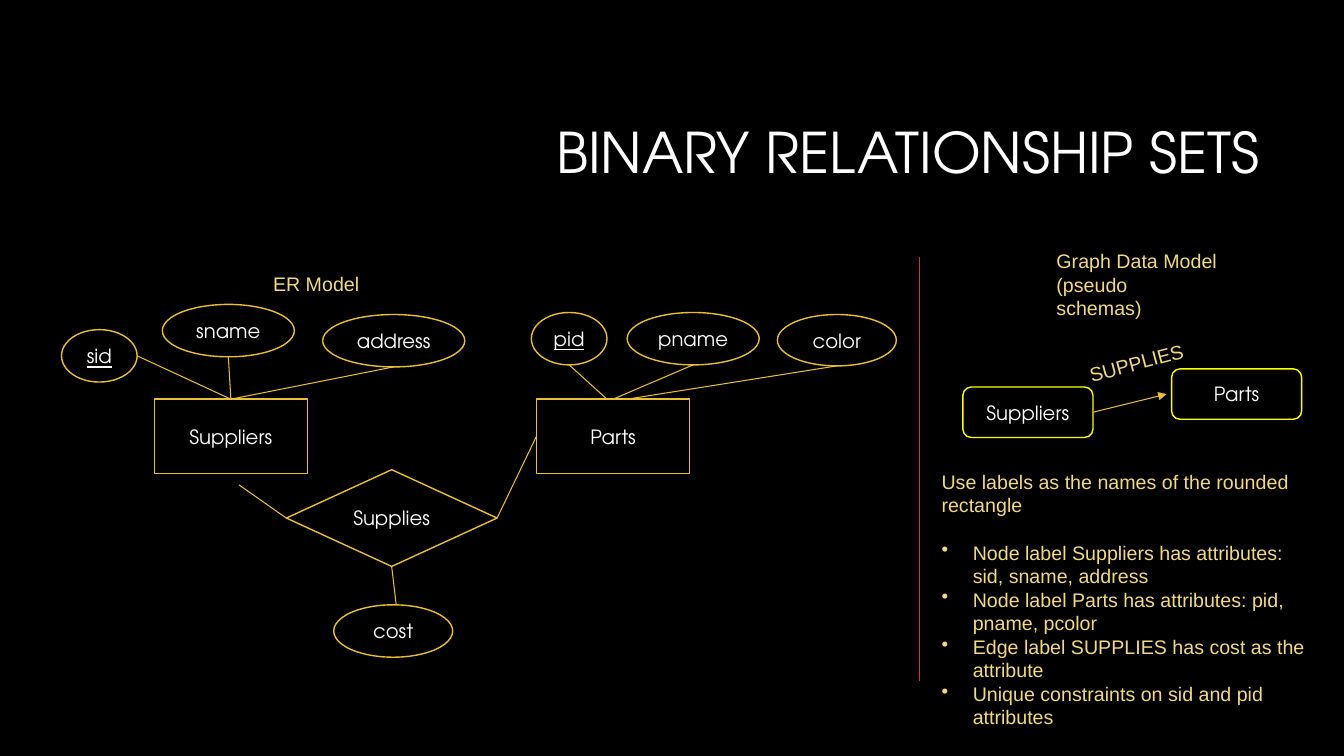
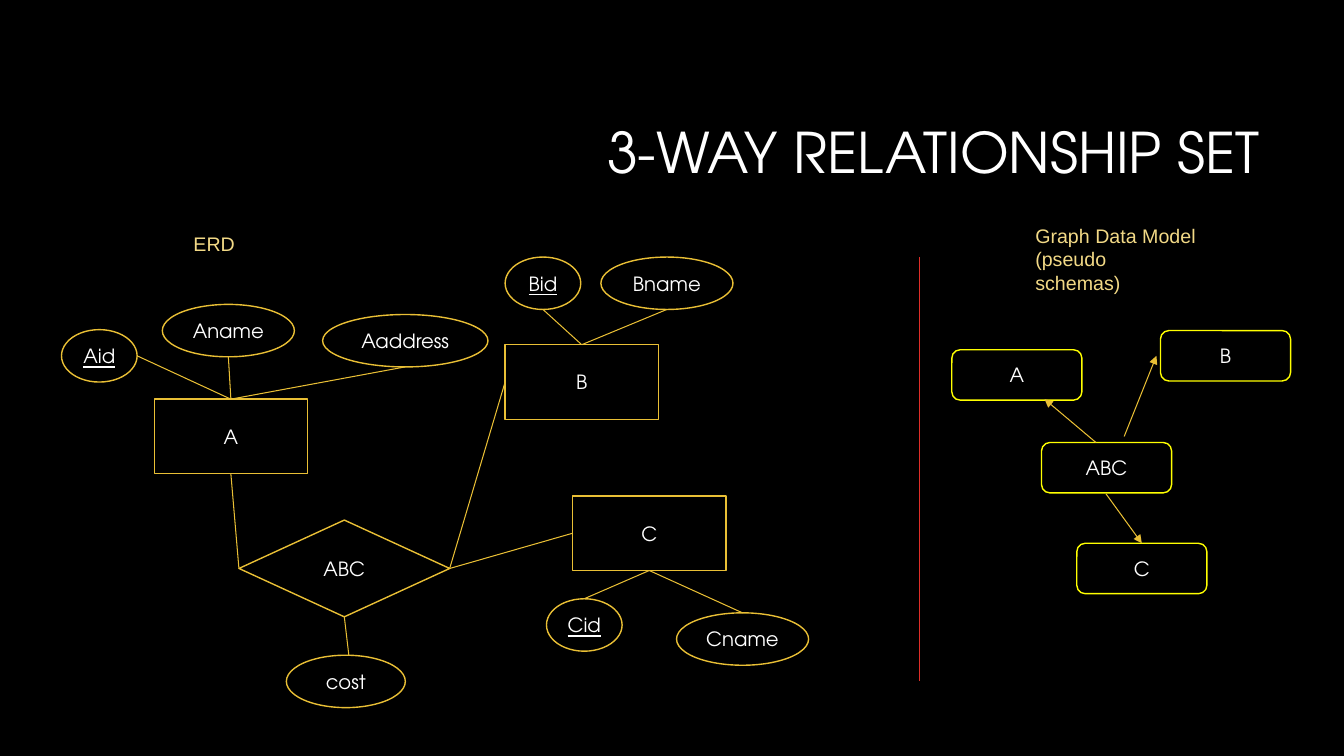
from lxml import etree
from pptx import Presentation
from pptx.dml.color import RGBColor
from pptx.enum.shapes import MSO_CONNECTOR, MSO_SHAPE
from pptx.enum.text import MSO_ANCHOR, MSO_AUTO_SIZE, PP_ALIGN
from pptx.oxml.ns import qn
from pptx.util import Inches, Pt

RECT, OVAL = MSO_SHAPE.RECTANGLE, MSO_SHAPE.OVAL
DIAMOND, ROUNDED = MSO_SHAPE.DIAMOND, MSO_SHAPE.ROUNDED_RECTANGLE
STRAIGHT = MSO_CONNECTOR.STRAIGHT
LEFT, CENTER, RIGHT = PP_ALIGN.LEFT, PP_ALIGN.CENTER, PP_ALIGN.RIGHT
MIDDLE, GROW = MSO_ANCHOR.MIDDLE, MSO_AUTO_SIZE.SHAPE_TO_FIT_TEXT

COLORS = {"back": "000000", "text": "FFFFFF", "note": "F2D986",
          "line": "E9BF35", "node": "FFFF00", "divider": "DF2E28"}
HEAD_FONT, NOTE_FONT = "TeX Gyre Adventor", "Arial"
CELL = Inches(0.1)  # all positions count columns and rows of this grid

# Sizes of the diagram elements, in grid cells
KEY, ATTRIBUTE, COST = (7.5, 5.2), (13.1, 5.2), (11.8, 5.2)
ENTITY, RELATIONSHIP, NODE = (15.2, 7.4), (20.9, 9.6), (12.9, 5)

# Share of width and height at which each side's anchor lies
SIDES = {"top": (0.5, 0), "bottom": (0.5, 1), "left": (0, 0.5), "right": (1, 0.5)}


def color(name):
    return RGBColor.from_string(COLORS[name])


def write(frame, lines, font=NOTE_FONT, size=14, ink="note", align=LEFT,
          underline=None, spacing=None, bullets_from=None):
    """Fill a text frame with one paragraph per line."""
    for number, line in enumerate(lines):
        paragraph = frame.add_paragraph() if number else frame.paragraphs[0]
        paragraph.alignment = align
        paragraph.line_spacing = spacing
        run = paragraph.add_run()
        run.text = line
        run.font.name, run.font.size = font, Pt(size)
        run.font.color.rgb, run.font.underline = color(ink), underline
        if bullets_from is not None and number >= bullets_from:
            properties = paragraph._p.get_or_add_pPr()
            properties.set("marL", str(Inches(0.31)))
            properties.set("indent", str(-Inches(0.31)))
            etree.SubElement(properties, qn("a:buChar"), char="•")


def anchor(element, side, shift=0):
    """Grid point in the middle of an element's side, moved sideways by shift."""
    across, down = SIDES[side]
    return ((element.left + element.width * across) / CELL + shift,
            (element.top + element.height * down) / CELL)


class Deck:
    def __init__(self):
        self.prs = Presentation()
        self.prs.slide_width, self.prs.slide_height = Inches(13.33), Inches(7.5)
        fill = self.prs.slide_master.background.fill
        fill.solid()
        fill.fore_color.rgb = color("back")
        self.slide = None

    def grid(self, *cells):
        return [round(cell * CELL) for cell in cells]

    def start(self, heading):
        self.slide = self.prs.slides.add_slide(self.prs.slide_layouts[5])
        title = self.slide.shapes.title
        title.left, title.top, title.width, title.height = self.grid(31.7, 8.4, 94.2, 14.1)
        title.text_frame.vertical_anchor = MIDDLE
        write(title.text_frame, [heading], font=HEAD_FONT, size=40, ink="text",
              align=RIGHT, spacing=0.9)
        self.line((91.2, 25.5), (91.2, 67.6), ink="divider")

    def outline(self, kind, label, at, size, ink="line", underline=None):
        element = self.slide.shapes.add_shape(kind, *self.grid(*at, *size))
        element.shadow.inherit = False
        element.fill.background()
        element.line.color.rgb, element.line.width = color(ink), Pt(1)
        frame = element.text_frame
        frame.word_wrap, frame.vertical_anchor = False, MIDDLE
        write(frame, [label], font=HEAD_FONT, ink="text", align=CENTER,
              underline=underline)
        return element

    def entity(self, label, at):
        return self.outline(RECT, label, at, ENTITY)

    def key(self, label, at):
        return self.outline(OVAL, label, at, KEY, underline=True)

    def attribute(self, label, at, size=ATTRIBUTE):
        return self.outline(OVAL, label, at, size)

    def node(self, label, at):
        return self.outline(ROUNDED, label, at, NODE, ink="node")

    def relationship(self, label, at):
        """A diamond with its cost attribute below."""
        diamond = self.outline(DIAMOND, label, at, RELATIONSHIP)
        cost = self.attribute("cost", (at[0] + 4.7, at[1] + 13.4), COST)
        self.line(anchor(diamond, "bottom"), anchor(cost, "top", 0.3))
        return diamond

    def line(self, start, end, ink="line", arrow=False):
        line = self.slide.shapes.add_connector(STRAIGHT, *self.grid(*start, *end))
        line.line.color.rgb, line.line.width = color(ink), Pt(0.75)
        properties = line._element.spPr
        if arrow:
            etree.SubElement(properties.find(qn("a:ln")), qn("a:tailEnd"), type="triangle")
        etree.SubElement(properties, qn("a:effectLst"))

    def note(self, lines, at, size, wrap=False, turn=0, **style):
        box = self.slide.shapes.add_textbox(*self.grid(*at, *size))
        box.rotation = turn
        box.text_frame.word_wrap, box.text_frame.auto_size = wrap, GROW
        write(box.text_frame, lines, **style)
        return box

    def graph_heading(self, at):
        self.note(["Graph Data Model", "(pseudo schemas)"], at, (18, 5.7))

    def left_entity(self, labels, last_width):
        """The left entity with its key and two attributes."""
        name, key, second, third = labels
        entity = self.entity(name, (15.3, 39.6))
        top = anchor(entity, "top")
        self.line(anchor(self.key(key, (6.1, 32.7)), "right"), top)
        self.line(anchor(self.attribute(second, (16.1, 30.2)), "bottom"), top)
        last = self.attribute(third, (32, 31.2), (last_width, 5.2))
        self.line(anchor(last, "bottom"), top)
        return entity


def binary_slide(deck):
    deck.start("BINARY RELATIONSHIP SETS")

    # ER model
    deck.note(["ER Model"], (26.1, 26.5), (10.6, 3.4))
    deck.left_entity(("Suppliers", "sid", "sname", "address"), 14.1)
    parts = deck.entity("Parts", (53.2, 39.6))
    parts_attributes = [(deck.key("pid", (52.7, 31)), -0.6),
                        (deck.attribute("pname", (62.2, 31)), 0),
                        (deck.attribute("color", (77.1, 31.2), (11.8, 5.1)), 1.4)]
    for attribute, shift in parts_attributes:
        deck.line(anchor(attribute, "bottom"), anchor(parts, "top", shift))
    supplies = deck.relationship("Supplies", (28.4, 46.6))
    deck.line((23.7, 48.1), anchor(supplies, "left"))
    deck.line(anchor(supplies, "right"), anchor(parts, "left"))

    # Graph data model
    deck.graph_heading((103.8, 24.2))
    supplier_node = deck.node("Suppliers", (95.5, 38.4))
    deck.node("Parts", (116.2, 36.6))
    deck.line(anchor(supplier_node, "right"), (115.7, 39.1), arrow=True)
    deck.note(["SUPPLIES"], (106.9, 34.3), (11.6, 3.4), turn=345, align=CENTER)
    rules = deck.note(["Use labels as the names of the rounded rectangle",
                       "Node label Suppliers has attributes: sid, sname, address",
                       "Node label Parts has attributes: pid, pname, pcolor",
                       "Edge label SUPPLIES has cost as the attribute",
                       "Unique constraints on sid and pid attributes"],
                      (92.4, 46.1), (38.3, 26.9), wrap=True, bullets_from=1)
    rules.text_frame.paragraphs[0].space_after = Pt(17)


def three_way_slide(deck):
    deck.start("3-WAY RELATIONSHIP SET")

    # ER diagram
    deck.note(["ERD"], (18.2, 22.5), (6.2, 3.4))
    a = deck.left_entity(("A", "Aid", "Aname", "Aaddress"), 16.4)
    b = deck.entity("B", (50.1, 34.2))
    for attribute in (deck.key("Bid", (50.1, 25.5)), deck.attribute("Bname", (59.6, 25.5))):
        deck.line(anchor(attribute, "bottom"), anchor(b, "top"))
    c = deck.entity("C", (56.8, 49.2))
    for attribute in (deck.key("Cid", (54.2, 59.4)), deck.attribute("Cname", (67.1, 60.8))):
        deck.line(anchor(attribute, "top"), anchor(c, "bottom"))
    abc = deck.relationship("ABC", (23.7, 51.6))
    deck.line(anchor(a, "bottom"), anchor(abc, "left"))
    for entity in (b, c):
        deck.line(anchor(abc, "right"), anchor(entity, "left"))

    # Graph data model
    deck.graph_heading((101.7, 21.7))
    deck.node("A", (94.4, 34.7))
    deck.node("B", (115.1, 32.8))
    deck.node("ABC", (103.3, 43.9))
    c_node = deck.node("C", (106.8, 53.9))
    for start, end in (((108.7, 43.9), (103.6, 39.6)),
                       ((111.5, 43.3), (114.7, 35.3)),
                       ((109.7, 49), anchor(c_node, "top"))):
        deck.line(start, end, arrow=True)


def main():
    deck = Deck()
    binary_slide(deck)
    three_way_slide(deck)
    deck.prs.save("out.pptx")


if __name__ == "__main__":
    main()
